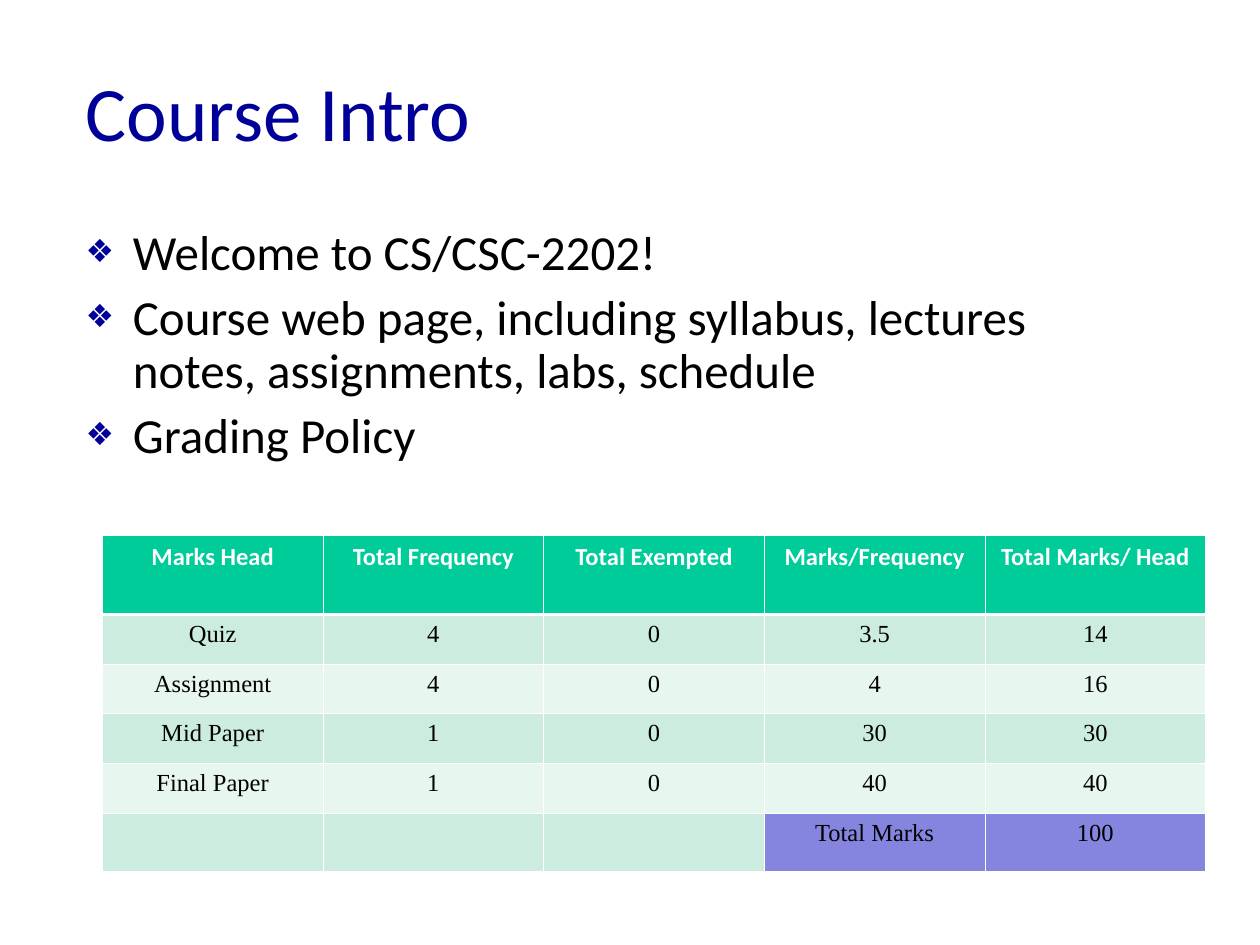
from dataclasses import dataclass

from lxml.etree import SubElement as Sub
from pptx import Presentation
from pptx.dml.color import RGBColor as RGB
from pptx.enum.text import MSO_ANCHOR as Anchor, MSO_AUTO_SIZE as AutoSize, PP_ALIGN as Align
from pptx.oxml.ns import qn
from pptx.util import Pt

COLORS = {
    "navy": "000099",
    "black": "000000",
    "white": "FFFFFF",
    "header": "00CC99",
    "band_dark": "CBECDE",
    "band_light": "E7F6EF",
    "total": "8585E0",
}
BULLETS = [
    "Welcome to CS/CSC-2202!",
    "Course web page, including syllabus, lectures notes, assignments, labs, schedule",
    "Grading Policy",
]
GRADING = [
    ["Marks Head", "Total Frequency", "Total Exempted", "Marks/Frequency", "Total Marks/ Head"],
    ["Quiz", "4", "0", "3.5", "14"],
    ["Assignment", "4", "0", "4", "16"],
    ["Mid Paper", "1", "0", "30", "30"],
    ["Final Paper", "1", "0", "40", "40"],
    ["", "", "", "Total Marks", "100"],
]
ROW_HEIGHTS = [45.2, 28.35, 28.35, 28.35, 28.35, 33.5]
COL_WIDTH = 126.1
THIN, THICK = 0.45, 1.47


@dataclass
class Style:
    size: float
    color: str
    font: str = "Calibri"
    bold: bool = False


TITLE = Style(44, "navy")
BODY = Style(28, "black")
HEAD_CELL = Style(14, "white", bold=True)
DATA_CELL = Style(14, "black", "Times New Roman")


def add_run(p, text: str, style: Style) -> None:
    r = p.add_run()
    r.text = text
    r.font.size = Pt(style.size)
    r.font.name = style.font
    r.font.bold = style.bold
    r.font.color.rgb = RGB.from_string(COLORS[style.color])


def place(sp, left: float, top: float, width: float, height: float) -> None:
    sp.left, sp.top, sp.width, sp.height = Pt(left), Pt(top), Pt(width), Pt(height)
    sp.text_frame.auto_size = AutoSize.NONE


def add_bullet(p, text: str, first: bool) -> None:
    pPr = p._p.get_or_add_pPr()
    pPr.set("marL", str(Pt(27)))
    pPr.set("indent", str(-Pt(27)))
    Sub(Sub(pPr, qn("a:buClr")), qn("a:srgbClr"), val=COLORS["navy"])
    Sub(pPr, qn("a:buSzPct"), val="65000")
    Sub(pPr, qn("a:buChar"), char="❖")
    p.line_spacing = 0.9
    p.space_before = Pt(0 if first else 7)
    add_run(p, text, BODY)


def add_borders(cell, top: float, bottom: float) -> None:
    tcPr = cell._tc.get_or_add_tcPr()
    for side, width in (("L", THIN), ("R", THIN), ("T", top), ("B", bottom)):
        ln = Sub(tcPr, qn(f"a:ln{side}"), w=str(Pt(width)))
        Sub(Sub(ln, qn("a:solidFill")), qn("a:srgbClr"), val=COLORS["white"])


def cell_fill(row: int, col: int) -> str:
    if row == 0:
        return "header"
    if row == len(GRADING) - 1 and col >= 3:
        return "total"
    return "band_dark" if row % 2 else "band_light"


def add_grading_table(slide, left: float, top: float) -> None:
    rows, cols = len(GRADING), len(GRADING[0])
    table = slide.shapes.add_table(
        rows, cols, Pt(left), Pt(top), Pt(COL_WIDTH * cols), Pt(sum(ROW_HEIGHTS))
    ).table
    table.horz_banding = False
    for column in table.columns:
        column.width = Pt(COL_WIDTH)
    for i, (texts, height) in enumerate(zip(GRADING, ROW_HEIGHTS)):
        table.rows[i].height = Pt(height)
        for j, text in enumerate(texts):
            cell = table.cell(i, j)
            add_borders(cell, THICK if i == 1 else THIN, THICK if i == 0 else THIN)
            cell.fill.solid()
            cell.fill.fore_color.rgb = RGB.from_string(COLORS[cell_fill(i, j)])
            if text:
                p = cell.text_frame.paragraphs[0]
                p.alignment = Align.CENTER
                add_run(p, text, DATA_CELL if i else HEAD_CELL)


def main() -> None:
    prs = Presentation()
    prs.slide_width, prs.slide_height = Pt(720), Pt(540)
    slide = prs.slides.add_slide(prs.slide_layouts[1])

    title, body = slide.placeholders
    place(title, 41.76, 18, 612, 90)
    title.text_frame.vertical_anchor = Anchor.MIDDLE
    p = title.text_frame.paragraphs[0]
    p.alignment = Align.LEFT
    add_run(p, "Course Intro", TITLE)

    place(body, 41.76, 126.72, 612, 365.76)
    tf = body.text_frame
    for i, text in enumerate(BULLETS):
        add_bullet(tf.add_paragraph() if i else tf.paragraphs[0], text, i == 0)

    add_grading_table(slide, 58.5, 306)
    prs.save("out.pptx")


if __name__ == "__main__":
    main()
